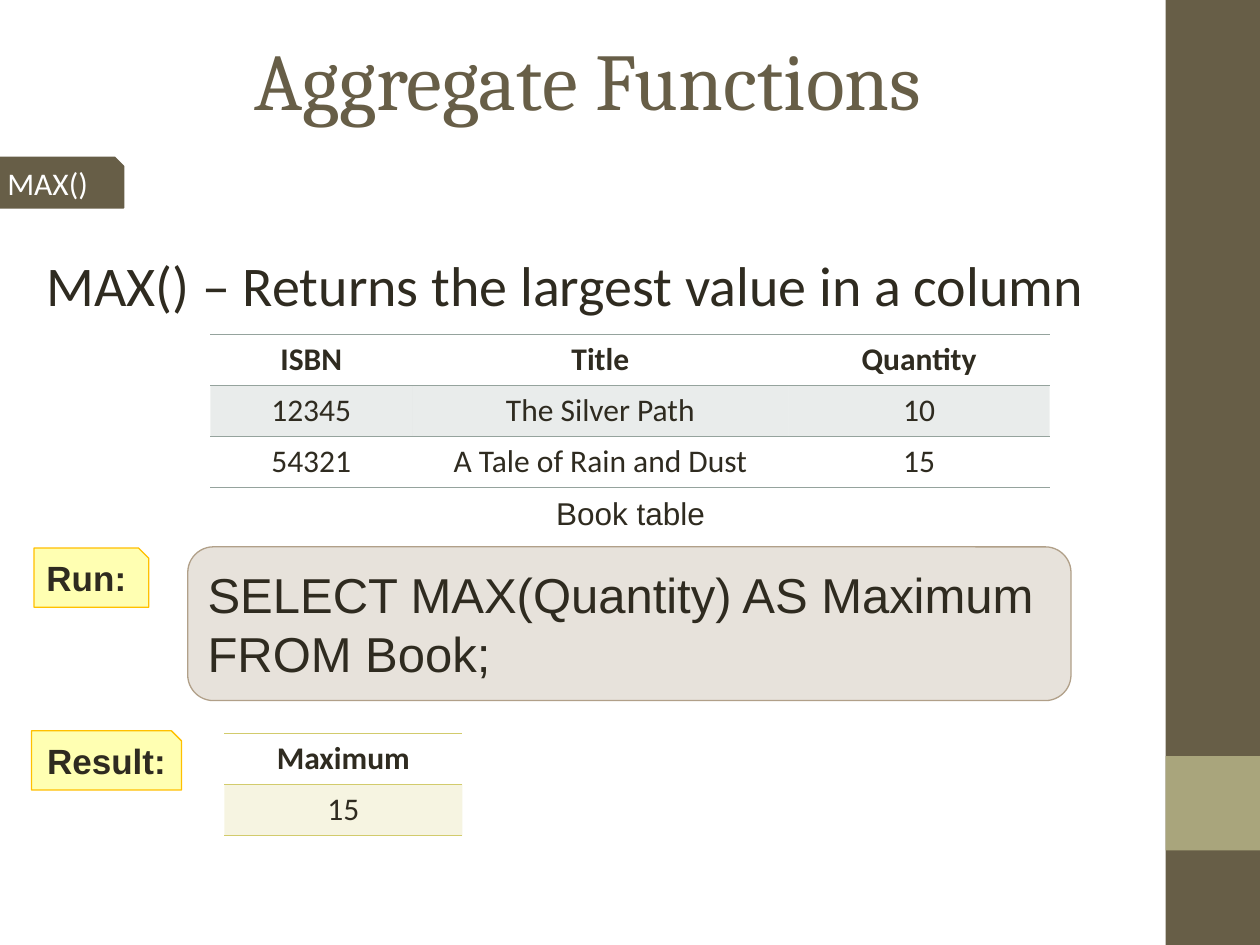
from dataclasses import dataclass

from lxml import etree
from pptx import Presentation
from pptx import util as u
from pptx.dml.color import RGBColor
from pptx.enum import shapes, text
from pptx.oxml import ns

BROWN, SAGE, INK, WHITE = "675E47", "A9A57C", "2F2B20", "FFFFFF"
TAUPE, YELLOW, AMBER = "B1A089", "FFFF00", "FFC000"
GREY, LIME = "95A39D", "D2CB6C"
PLAIN_TABLE = "{2D5ABB26-0587-4C30-8999-92F81FD0307C}"
LEFT, CENTER = text.PP_ALIGN.LEFT, text.PP_ALIGN.CENTER
TOP, MIDDLE = text.MSO_ANCHOR.TOP, text.MSO_ANCHOR.MIDDLE


@dataclass
class Tag:
    """A label whose top right corner is cut off."""
    label: str
    left: float
    top: float
    width: float
    height: float
    cut: float
    fill: str
    line: str
    opacity: int = 100
    line_width: float = 0.75
    size: int = 20
    font: str = "Arial"
    color: str = INK
    bold: bool = True
    align: text.PP_ALIGN = LEFT


@dataclass
class Grid:
    left: float
    top: float
    height: float
    columns: list[float]
    rows: list[list[str]]
    color: str


def set_fill(fill, color: str, opacity: int = 100) -> None:
    fill.solid()
    fill.fore_color.rgb = RGBColor.from_string(color)
    if opacity < 100:
        value = fill._xPr.find(".//" + ns.qn("a:srgbClr"))
        etree.SubElement(value, ns.qn("a:alpha"), val=str(opacity * 1000))


def style_shape(shape, fill: str, line: str | None = None,
                opacity: int = 100, line_width: float = 0.75) -> None:
    shape.shadow.inherit = False
    set_fill(shape.fill, fill, opacity)
    if line is None:
        shape.line.fill.background()
    else:
        set_fill(shape.line.fill, line)
        shape.line.width = u.Pt(line_width)


def write(frame, words: str, *, size: int, font: str = "Arial", color: str = INK,
          bold: bool = False, align=LEFT, anchor=TOP, wrap: bool = True) -> None:
    frame.word_wrap = wrap
    frame.vertical_anchor = anchor
    para = frame.paragraphs[0]
    para.alignment = align
    span = para.add_run()
    span.text = words
    span.font.size = u.Pt(size)
    span.font.name = font
    span.font.bold = bold
    span.font.color.rgb = RGBColor.from_string(color)


def add_text(page, left: float, top: float, width: float, height: float,
             words: str, **style) -> None:
    box = page.shapes.add_textbox(*map(u.Inches, (left, top, width, height)))
    write(box.text_frame, words, **style)


def add_block(page, kind, left: float, top: float, width: float, height: float,
              fill: str, **style):
    block = page.shapes.add_shape(kind, *map(u.Inches, (left, top, width, height)))
    style_shape(block, fill, **style)
    return block


def add_tag(page, tag: Tag) -> None:
    right, bottom = tag.left + tag.width, tag.top + tag.height
    corners = [(right - tag.cut, tag.top), (right, tag.top + tag.cut),
               (right, bottom), (tag.left, bottom)]
    outline = page.shapes.build_freeform(u.Inches(tag.left), u.Inches(tag.top))
    outline.add_line_segments([(u.Inches(x), u.Inches(y)) for x, y in corners])
    shape = outline.convert_to_shape()
    style_shape(shape, tag.fill, tag.line, tag.opacity, tag.line_width)
    write(shape.text_frame, tag.label, size=tag.size, font=tag.font, color=tag.color,
          bold=tag.bold, align=tag.align, anchor=MIDDLE)


def set_borders(cell, color: str, sides: list[str]) -> None:
    props = cell._tc.get_or_add_tcPr()
    for position, side in enumerate(sides):
        line = etree.Element(ns.qn(f"a:ln{side}"), w=str(u.Pt(0.45)))
        solid = etree.SubElement(line, ns.qn("a:solidFill"))
        etree.SubElement(solid, ns.qn("a:srgbClr"), val=color)
        props.insert(position, line)


def add_grid(page, grid: Grid) -> None:
    """Rule the table above and below the header and at the end; tint the first data row."""
    count = len(grid.rows)
    table = page.shapes.add_table(
        count, len(grid.columns), u.Inches(grid.left), u.Inches(grid.top),
        u.Inches(sum(grid.columns)), u.Inches(grid.height)).table
    table._tbl.tblPr.find(ns.qn("a:tableStyleId")).text = PLAIN_TABLE
    table.horz_banding = False
    for column, width in zip(table.columns, grid.columns):
        column.width = u.Inches(width)
    for r, row in enumerate(grid.rows):
        table.rows[r].height = u.Inches(grid.height / count)
        sides = (["T"] if r < 2 else []) + (["B"] if r in (0, count - 1) else [])
        for c, words in enumerate(row):
            cell = table.cell(r, c)
            write(cell.text_frame, words, size=18, font="Calibri",
                  bold=r == 0, align=CENTER)
            if r == 1:
                set_fill(cell.fill, grid.color, 20)
            else:
                cell.fill.background()
            set_borders(cell, grid.color, sides)


def main() -> None:
    deck = Presentation()
    deck.slide_width, deck.slide_height = u.Inches(10), u.Inches(7.5)
    page = deck.slides.add_slide(deck.slide_layouts[6])
    kinds = shapes.MSO_SHAPE

    add_block(page, kinds.RECTANGLE, 9.25, 0, 0.75, 7.5, BROWN)
    add_block(page, kinds.RECTANGLE, 9.25, 6, 0.75, 0.75, SAGE)
    add_text(page, 0.5, 0, 8.33, 1.25, "Aggregate Functions", size=46,
             font="Cambria", color=BROWN, align=CENTER, anchor=MIDDLE)
    add_tag(page, Tag("MAX()", -0.04, 1.25, 1.02, 0.4, 0.07, BROWN, BROWN,
                      line_width=1, size=18, font="Calibri", color=WHITE, bold=False))
    add_text(page, 0.27, 1.94, 9.47, 1.18,
             "MAX() – Returns the largest value in a column", size=32, font="Calibri")

    query = add_block(page, kinds.ROUNDED_RECTANGLE, 1.49, 4.34, 7.01, 1.22, TAUPE,
                      line=TAUPE, opacity=30)
    write(query.text_frame, "SELECT MAX(Quantity) AS Maximum FROM Book;",
          size=28, anchor=MIDDLE)
    add_text(page, 3.9, 3.87, 2.21, 0.4, "Book table", size=18, align=CENTER)

    add_tag(page, Tag("Result:", 0.25, 5.8, 1.19, 0.47, 0.08, YELLOW, AMBER,
                      opacity=30, align=CENTER))
    add_tag(page, Tag("Run:", 0.27, 4.35, 0.91, 0.47, 0.08, YELLOW, AMBER, opacity=30))

    add_grid(page, Grid(1.67, 2.65, 1.22, [1.6, 2.99, 2.07], [
        ["ISBN", "Title", "Quantity"],
        ["12345", "The Silver Path", "10"],
        ["54321", "A Tale of Rain and Dust", "15"],
    ], GREY))
    add_grid(page, Grid(1.78, 5.82, 0.81, [1.89], [["Maximum"], ["15"]], LIME))
    deck.save("out.pptx")


if __name__ == "__main__":
    main()
